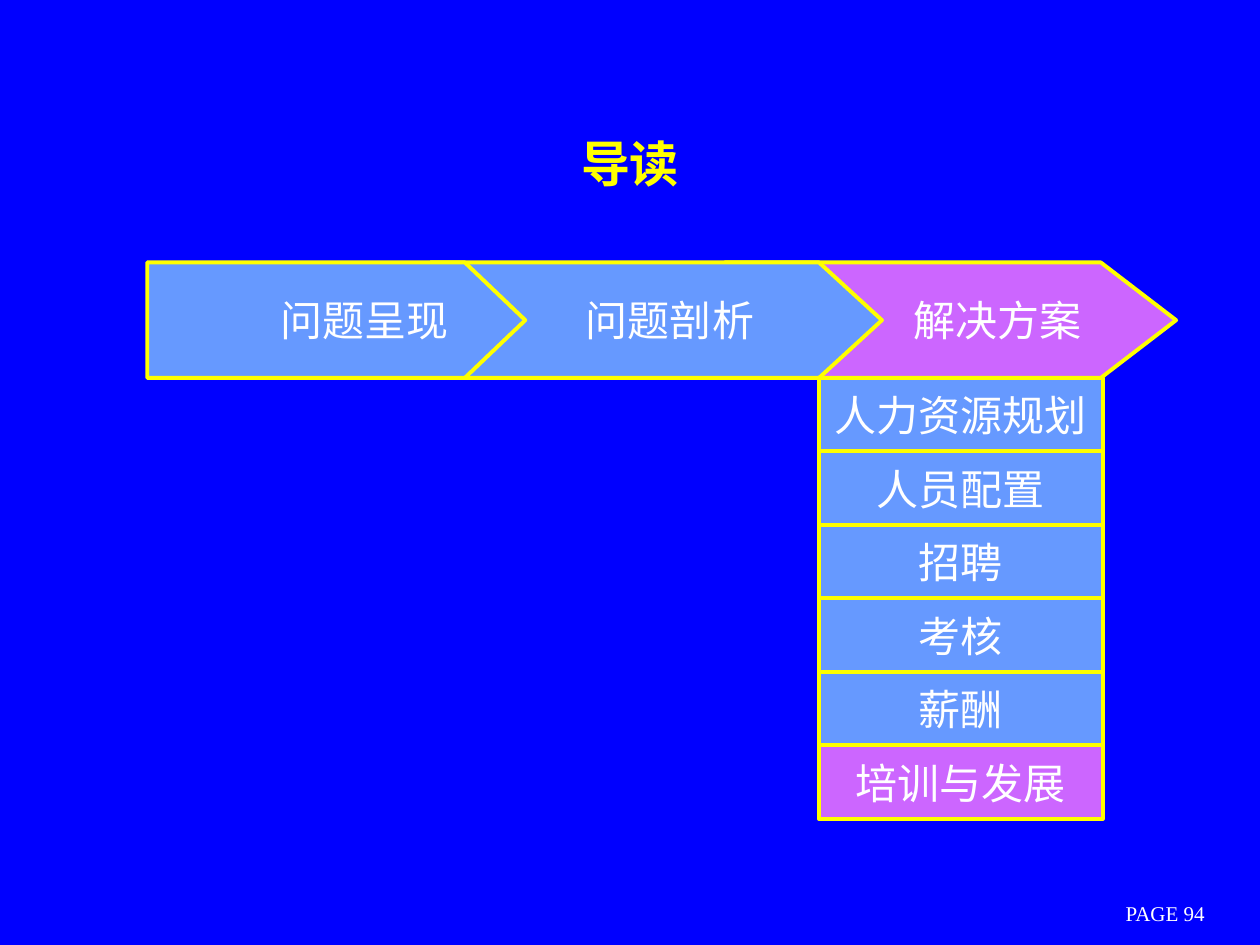
"""Build the reading guide slide with its three-step arrow and solution list."""
from pptx import Presentation
from pptx.dml.color import RGBColor
from pptx.enum.shapes import MSO_SHAPE
from pptx.enum.text import MSO_ANCHOR, PP_ALIGN
from pptx.util import Cm, Pt

BLUE, VIOLET, YELLOW, WHITE = "6699FF", "CC66FF", "FFFF00", "FFFFFF"
BODY_FONT = {"name": "Times New Roman", "size": Pt(24), "bold": False}
TITLE_FONT = {"name": "Noto Sans CJK SC", "size": Pt(28), "bold": True}
PAGE_FONT = {**BODY_FONT, "size": Pt(12)}


def color(value):
    return RGBColor.from_string(value)


def write(shape, text, font_format, font_color, left_inset=0):
    frame_format = {
        "word_wrap": True,
        "vertical_anchor": MSO_ANCHOR.MIDDLE,
        "margin_left": Cm(left_inset),
        "margin_right": 0,
        "margin_top": Cm(0.13),
        "margin_bottom": Cm(0.13),
    }
    for name, value in frame_format.items():
        setattr(shape.text_frame, name, value)
    paragraph = shape.text_frame.paragraphs[0]
    paragraph.text = text
    paragraph.alignment = PP_ALIGN.CENTER
    for name, value in font_format.items():
        setattr(paragraph.font, name, value)
    paragraph.font.color.rgb = color(font_color)


presentation = Presentation()
presentation.slide_width = Cm(25.4)
presentation.slide_height = Cm(19.05)
slide = presentation.slides.add_slide(presentation.slide_layouts[6])
slide.background.fill.solid()
slide.background.fill.fore_color.rgb = color("0000FF")

labels = [
    ("导读", 1.9, 1.7, 21.6, 3.18, TITLE_FONT, YELLOW),
    ("PAGE 94", 21.39, 18.08, 4.2, 0.64, PAGE_FONT, WHITE),
]
for text, left, top, width, height, font_format, font_color in labels:
    text_box = slide.shapes.add_textbox(Cm(left), Cm(top), Cm(width), Cm(height))
    write(text_box, text, font_format, font_color)

arrow_top, arrow_height = 5.29, 2.33
arrows = [
    ("解决方案", 14.61, 9.1, 1.52, 2.64, VIOLET),
    ("问题剖析", 8.68, 9.1, 1.27, 1.19, BLUE),
    ("问题呈现", 2.97, 7.62, 1.22, 1.73, BLUE),
]
blocks = []
for text, left, width, tip, inset, fill_color in arrows:
    arrow = slide.shapes.add_shape(
        MSO_SHAPE.PENTAGON, Cm(left), Cm(arrow_top), Cm(width), Cm(arrow_height)
    )
    arrow.adjustments[0] = tip / arrow_height
    blocks.append((arrow, text, fill_color, inset))

solutions = ["人力资源规划", "人员配置", "招聘", "考核", "薪酬", "培训与发展"]
row_height = 8.89 / len(solutions)
for index, text in enumerate(solutions):
    top = arrow_top + arrow_height + index * row_height
    box = slide.shapes.add_shape(
        MSO_SHAPE.RECTANGLE, Cm(16.51), Cm(top), Cm(5.72), Cm(row_height)
    )
    fill_color = VIOLET if text == solutions[-1] else BLUE
    blocks.append((box, text, fill_color, 0))

for shape, text, fill_color, inset in blocks:
    shape.shadow.inherit = False
    shape.fill.solid()
    shape.fill.fore_color.rgb = color(fill_color)
    shape.line.color.rgb = color(YELLOW)
    shape.line.width = Pt(2.25)
    write(shape, text, BODY_FONT, WHITE, inset)

presentation.save("out.pptx")
